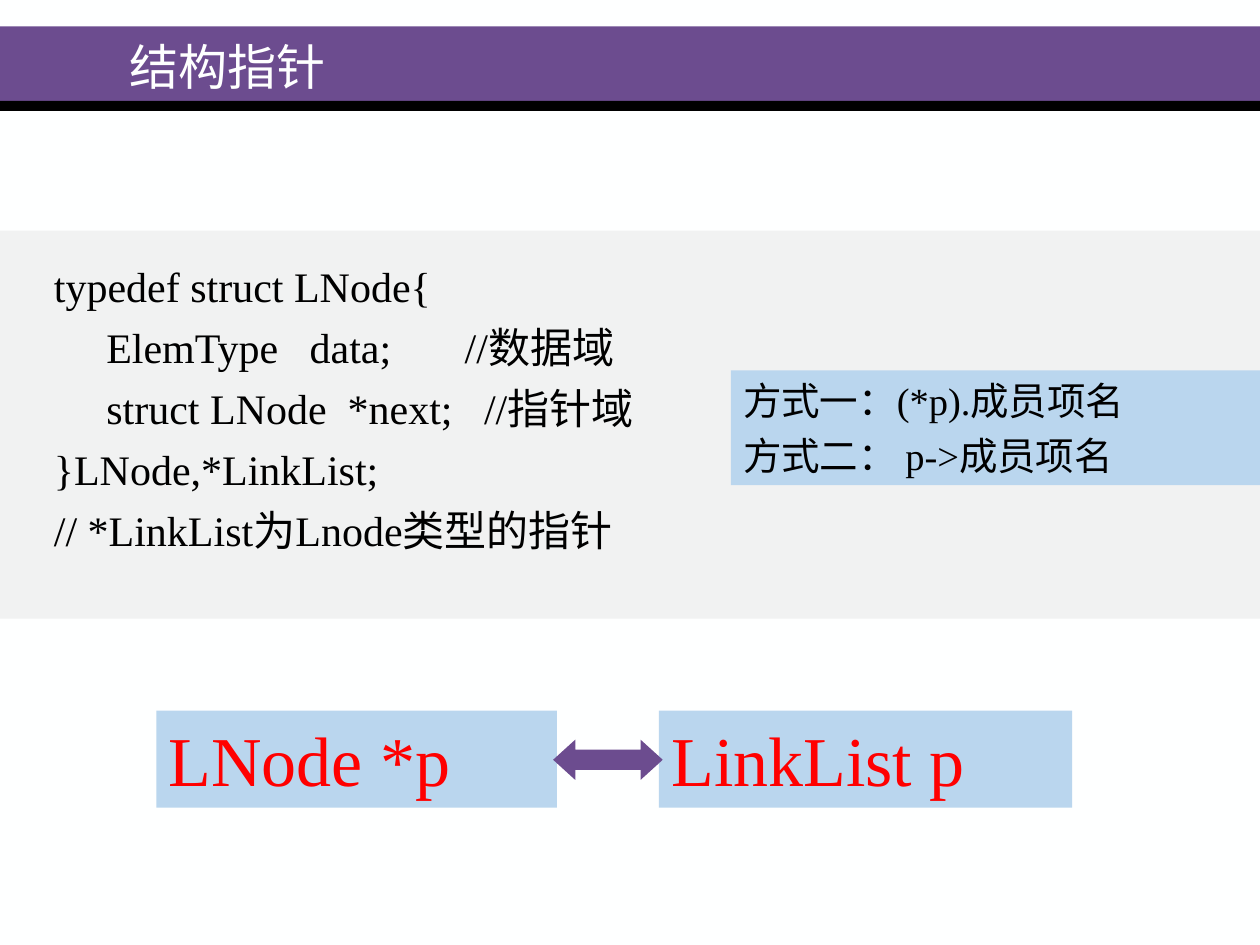
from dataclasses import dataclass

from lxml import etree
from pptx import Presentation
from pptx.dml.color import RGBColor
from pptx.enum.shapes import MSO_SHAPE
from pptx.enum.text import MSO_ANCHOR, PP_ALIGN
from pptx.oxml.ns import qn
from pptx.util import Inches, Pt

RECT = MSO_SHAPE.RECTANGLE
ROUNDED = MSO_SHAPE.ROUNDED_RECTANGLE
DOUBLE_ARROW = MSO_SHAPE.LEFT_RIGHT_ARROW
TOP, MIDDLE = MSO_ANCHOR.TOP, MSO_ANCHOR.MIDDLE
LEFT, JUSTIFY = PP_ALIGN.LEFT, PP_ALIGN.JUSTIFY


@dataclass(frozen=True)
class Theme:
    font: str = "Times New Roman"
    page: str = "FEFFFF"
    purple: str = "6C4C8F"
    black: str = "000000"
    gray: str = "C0C0C0"
    blue: str = "BAD6EE"
    red: str = "FF0000"
    title_size: float = 28
    code_size: float = 24
    method_size: float = 22
    declaration_size: float = 40


class SlideBuilder:
    def __init__(self, slide, theme):
        self.slide = slide
        self.theme = theme

    def background(self, color):
        fill = self.slide.background.fill
        fill.solid()
        fill.fore_color.rgb = RGBColor.from_string(color)

    def shape(self, kind, x, y, w, h, color, adjustments=(), opacity=None):
        """Add a borderless filled shape; opacity is in percent."""
        sp = self.slide.shapes.add_shape(
            kind, Inches(x), Inches(y), Inches(w), Inches(h))
        sp.shadow.inherit = False
        sp.line.fill.background()
        sp.fill.solid()
        sp.fill.fore_color.rgb = RGBColor.from_string(color)
        for i, value in enumerate(adjustments):
            sp.adjustments[i] = value
        if opacity is not None:
            clr = sp.element.spPr.find(qn("a:solidFill"))[0]
            etree.SubElement(clr, qn("a:alpha"), val=str(opacity * 1000))
        return sp

    def text_box(self, x, y, w, h, lines, size, color, **layout):
        sp = self.slide.shapes.add_textbox(
            Inches(x), Inches(y), Inches(w), Inches(h))
        self.set_lines(sp, lines, size, color, **layout)

    def panel(self, x, y, w, h, lines, size, color):
        """Add a blue box holding left-aligned text."""
        sp = self.shape(RECT, x, y, w, h, self.theme.blue)
        self.set_lines(sp, lines, size, color)

    def set_lines(self, sp, lines, size, color, align=LEFT, anchor=TOP):
        """Fill a shape with one paragraph per line, a quarter size apart."""
        tf = sp.text_frame
        tf.word_wrap = True
        tf.vertical_anchor = anchor
        for i, line in enumerate(lines):
            p = tf.add_paragraph() if i else tf.paragraphs[0]
            p.text = line
            p.alignment = align
            p.space_before = Pt(size / 4 if i else 0)
            p.font.name = self.theme.font
            p.font.size = Pt(size)
            p.font.color.rgb = RGBColor.from_string(color)


def main():
    prs = Presentation()
    prs.slide_width, prs.slide_height = Inches(10), Inches(7.5)
    theme = Theme()
    s = SlideBuilder(prs.slides.add_slide(prs.slide_layouts[6]), theme)

    s.background(theme.page)
    s.shape(RECT, 0, 0.21, 10, 0.59, theme.purple)
    s.shape(RECT, 0, 0.8, 10, 0.08, theme.black)
    s.text_box(0.93, 0.21, 3.36, 0.62, ["结构指针"],
               theme.title_size, theme.page, anchor=MIDDLE)

    s.shape(ROUNDED, 0, 1.83, 10, 3.08, theme.gray, [0], opacity=20)
    s.panel(5.8, 2.94, 4.2, 0.91,
            ["方式一：(*p).成员项名", "方式二： p->成员项名"],
            theme.method_size, theme.black)
    code = [
        "typedef struct LNode{",
        "     ElemType   data;       //数据域",
        "     struct LNode  *next;   //指针域",
        "}LNode,*LinkList;",
        "// *LinkList为Lnode类型的指针",
    ]
    s.text_box(0.33, 2.02, 5.06, 2.7, code,
               theme.code_size, theme.black, align=JUSTIFY)

    for x, w, declaration in [(1.24, 3.18, "LNode *p"),
                              (5.23, 3.28, "LinkList p")]:
        s.panel(x, 5.64, w, 0.77, [declaration],
                theme.declaration_size, theme.red)
    s.shape(DOUBLE_ARROW, 4.39, 5.87, 0.87, 0.32, theme.purple, [0.5, 0.55])

    prs.save("out.pptx")


if __name__ == "__main__":
    main()
